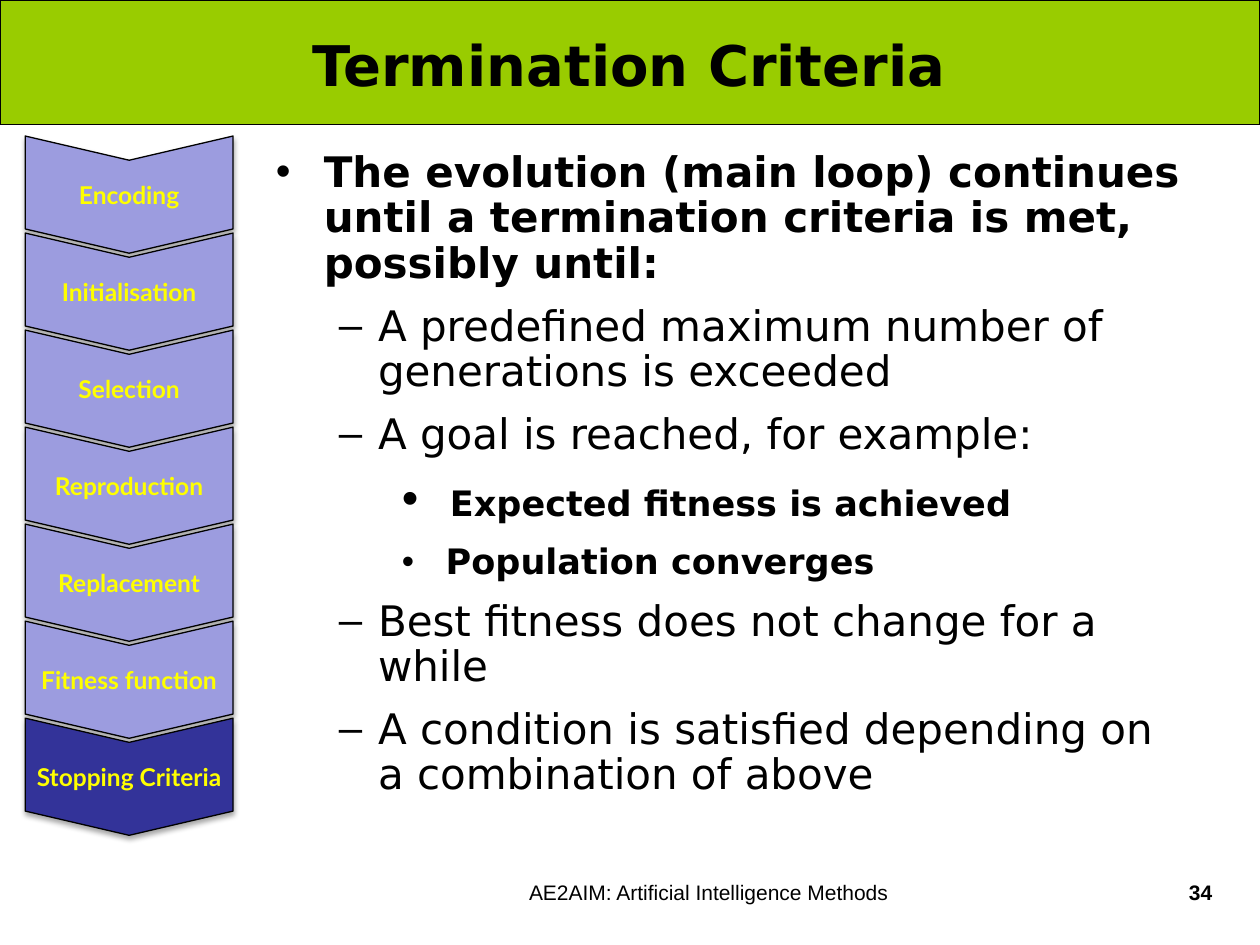
import pptx
import pptx.util
import pptx.dml.color
import pptx.enum.shapes
import pptx.enum.text
import pptx.oxml
import pptx.oxml.ns
from lxml import etree

Inches = pptx.util.Inches
Pt = pptx.util.Pt
RGBColor = pptx.dml.color.RGBColor
Shape = pptx.enum.shapes.MSO_SHAPE
Align = pptx.enum.text.PP_ALIGN
Anchor = pptx.enum.text.MSO_ANCHOR
qn = pptx.oxml.ns.qn

BLACK = RGBColor(0x00, 0x00, 0x00)
GREEN = RGBColor(0x99, 0xCC, 0x00)
LILAC = RGBColor(0x9C, 0x9C, 0xDF)
NAVY = RGBColor(0x33, 0x33, 0x99)
YELLOW = RGBColor(0xFF, 0xFF, 0x00)

# Bullet, left indent and hanging indent of each list level
LEVELS = [("•", 0.38, -0.38), ("–", 0.81, -0.31), ("•", 1.25, -0.25)]

STEPS = ["Encoding", "Initialisation", "Selection", "Reproduction",
         "Replacement", "Fitness function", "Stopping Criteria"]

# Level, then runs of text and size
POINTS = [
    (0, [("The evolution (main loop) continues until a termination "
          "criteria is met, possibly until:", 24)]),
    (1, [("A predefined maximum number of generations is exceeded", 24)]),
    (1, [("A goal is reached, for example:", 24)]),
    (2, [(" ", 27), ("Expected fitness is achieved", 20)]),
    (2, [(" Population converges", 20)]),
    (1, [("Best fitness does not change for a while", 24)]),
    (1, [("A condition is satisfied depending on a combination of above", 24)]),
]

SHADOW = (
    '<a:effectLst xmlns:a="http://schemas.openxmlformats.org/drawingml/2006/main">'
    '<a:outerShdw blurRad="39400" dist="22900" dir="5400000" rotWithShape="0">'
    '<a:srgbClr val="000000"><a:alpha val="35000"/></a:srgbClr>'
    '</a:outerShdw></a:effectLst>')


class Deck:
    """Holds the style and the current slide."""
    head = "DejaVu Sans"
    foot = "Arial"
    label = "Lato"

    def __init__(self, show):
        self.slide = show.slides.add_slide(show.slide_layouts[1])
        self.shapes = self.slide.shapes

    def place(self, shape, left, top, width, height):
        box = dict(left=left, top=top, width=width, height=height)
        for key, value in box.items():
            setattr(shape, key, Inches(value))

    def add_text(self, para, text, size, name, bold=False, color=BLACK):
        run = para.add_run()
        run.text = text
        run.font.color.rgb = color
        for key, value in dict(size=Pt(size), name=name, bold=bold).items():
            setattr(run.font, key, value)

    def paint(self, shape, fill):
        shape.shadow.inherit = False
        shape.fill.solid()
        shape.fill.fore_color.rgb = fill
        shape.line.color.rgb = BLACK
        shape.line.width = Pt(0.75)

    def band(self, height):
        bar = self.shapes.add_shape(Shape.RECTANGLE, 0, 0, Inches(10), Inches(height))
        self.paint(bar, GREEN)
        # Send behind the placeholders
        self.shapes.element.insert(2, bar.element)

    def title(self, text, *box):
        shape = self.shapes.title
        self.place(shape, *box)
        frame = shape.text_frame
        frame.auto_size = pptx.enum.text.MSO_AUTO_SIZE.NONE
        frame.vertical_anchor = Anchor.MIDDLE
        para = frame.paragraphs[0]
        para.alignment = Align.CENTER
        self.add_text(para, text, 32, self.head, True)

    def bullets(self, points, *box):
        shape = self.slide.placeholders[1]
        self.place(shape, *box)
        frame = shape.text_frame
        frame.auto_size = pptx.enum.text.MSO_AUTO_SIZE.NONE
        for i, (level, runs) in enumerate(points):
            para = frame.add_paragraph() if i else frame.paragraphs[0]
            mark, left, hang = LEVELS[level]
            props = para._p.get_or_add_pPr()
            props.set("marL", str(Inches(left)))
            props.set("indent", str(Inches(hang)))
            etree.SubElement(props, qn("a:buChar")).set("char", mark)
            form = dict(level=level, line_spacing=0.9,
                        space_before=Pt(10 if i else 0))
            for key, value in form.items():
                setattr(para, key, value)
            for text, size in runs:
                self.add_text(para, text, size, self.head, level != 1)

    def chevron(self, text, fill, left, top, width, height):
        # Drawn lying down, then turned to point downwards
        shape = self.shapes.add_shape(
            Shape.CHEVRON, Inches(left + (width - height) / 2),
            Inches(top + (height - width) / 2), Inches(height), Inches(width))
        shape.rotation = 90
        shape.adjustments[0] = 0.207
        self.paint(shape, fill)
        props = shape.element.spPr
        props.replace(props.find(qn("a:effectLst")), pptx.oxml.parse_xml(SHADOW))
        frame = shape.text_frame
        form = dict(margin_left=0, margin_right=0, margin_top=0, margin_bottom=0,
                    vertical_anchor=Anchor.MIDDLE, word_wrap=True)
        for key, value in form.items():
            setattr(frame, key, value)
        frame._txBody.bodyPr.set("vert", "vert270")
        para = frame.paragraphs[0]
        para.alignment = Align.CENTER
        self.add_text(para, text, 14, self.label, True, YELLOW)

    def note(self, text, align, bold, *box):
        frame = self.shapes.add_textbox(*map(Inches, box)).text_frame
        frame.word_wrap = True
        para = frame.paragraphs[0]
        para.alignment = align
        self.add_text(para, text, 12, self.foot, bold)


def main():
    show = pptx.Presentation()
    show.slide_width, show.slide_height = Inches(10), Inches(7.5)
    deck = Deck(show)

    # Heading
    deck.band(0.99)
    deck.title("Termination Criteria", 0.35, 0.02, 9.29, 0.98)

    # Criteria list
    deck.bullets(POINTS, 2.09, 1.15, 7.43, 5.59)

    # Process steps, with the current one last
    for i, step in enumerate(STEPS):
        fill = NAVY if step == STEPS[-1] else LILAC
        deck.chevron(step, fill, 0.2, 1.08 + 0.77 * i, 1.65, 0.93)

    # Footer
    deck.note("AE2AIM: Artificial Intelligence Methods", Align.CENTER, False,
              2.87, 6.93, 5.51, 0.52)
    deck.note("34", Align.RIGHT, True, 8.62, 6.93, 1.1, 0.52)

    show.save("out.pptx")


if __name__ == "__main__":
    main()
